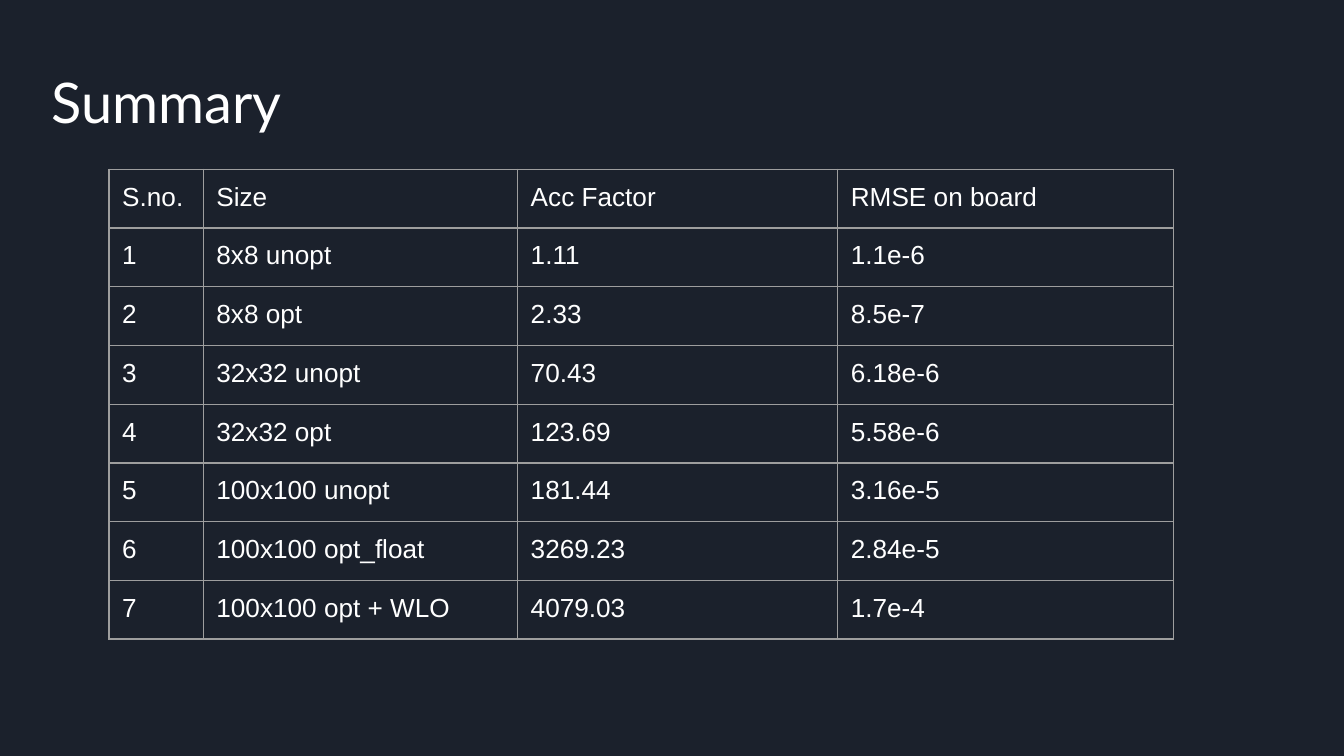
from lxml.etree import SubElement
from pptx import Presentation
from pptx.dml.color import RGBColor
from pptx.enum.text import MSO_ANCHOR, PP_ALIGN
from pptx.oxml.ns import qn
from pptx.util import Cm, Pt

BACKGROUND, TEXT, GRID = "1B212C", "FFFFFF", "9E9E9E"
INSET = Cm(0.25)


def style_text(paragraph, font_name, size):
    paragraph.alignment = PP_ALIGN.LEFT
    paragraph.font.name = font_name
    paragraph.font.size = Pt(size)
    paragraph.font.color.rgb = RGBColor.from_string(TEXT)


def add_borders(cell, color, width):
    properties = cell._tc.get_or_add_tcPr()
    for side in ("lnL", "lnR", "lnT", "lnB"):
        line = SubElement(properties, qn(f"a:{side}"), w=str(Pt(width)))
        fill = SubElement(line, qn("a:solidFill"))
        SubElement(fill, qn("a:srgbClr"), val=color)


presentation = Presentation()
presentation.slide_width = Cm(25.4)
presentation.slide_height = Cm(14.29)
slide = presentation.slides.add_slide(presentation.slide_layouts[5])
slide.background.fill.solid()
slide.background.fill.fore_color.rgb = RGBColor.from_string(BACKGROUND)

# Title
title = slide.shapes.title
title.left, title.top, title.width, title.height = Cm(0.72), Cm(1.02), Cm(17.22), Cm(1.8)
heading = title.text_frame
heading.text = "Summary"
heading.vertical_anchor = MSO_ANCHOR.TOP
heading.margin_left = heading.margin_right = INSET
heading.margin_top = heading.margin_bottom = INSET
style_text(heading.paragraphs[0], "Lato", 30)

# Results table
header = ("S.no.", "Size", "Acc Factor", "RMSE on board")
results = [
    ("8x8 unopt", "1.11", "1.1e-6"),
    ("8x8 opt", "2.33", "8.5e-7"),
    ("32x32 unopt", "70.43", "6.18e-6"),
    ("32x32 opt", "123.69", "5.58e-6"),
    ("100x100 unopt", "181.44", "3.16e-5"),
    ("100x100 opt_float", "3269.23", "2.84e-5"),
    ("100x100 opt + WLO", "4079.03", "1.7e-4"),
]
rows = [header] + [(str(number), *result) for number, result in enumerate(results, 1)]
column_widths = [Cm(1.78), Cm(5.94), Cm(6.05), Cm(6.35)]
row_height = Cm(1.11)

summary = slide.shapes.add_table(
    len(rows), len(header), Cm(2.06), Cm(3.2), sum(column_widths), row_height * len(rows)
).table
summary.first_row = False
summary.horz_banding = False
for column, width in zip(summary.columns, column_widths):
    column.width = width

for row_index, row in enumerate(rows):
    for column_index, value in enumerate(row):
        cell = summary.cell(row_index, column_index)
        cell.text = value
        cell.margin_left = cell.margin_right = INSET
        cell.margin_top = cell.margin_bottom = INSET
        style_text(cell.text_frame.paragraphs[0], "Arial", 14)
        add_borders(cell, GRID, 0.75)
        cell.fill.background()

presentation.save("out.pptx")
